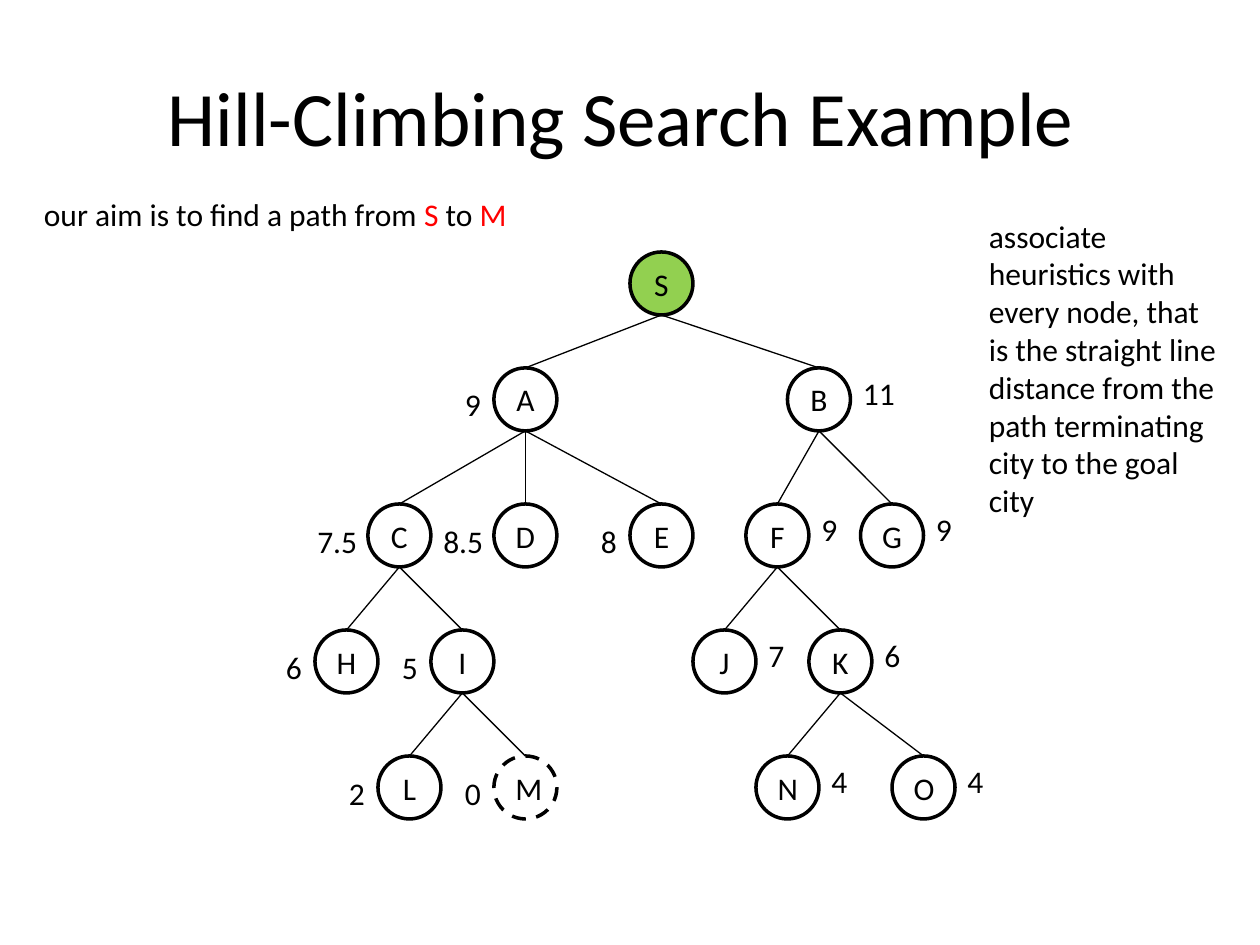
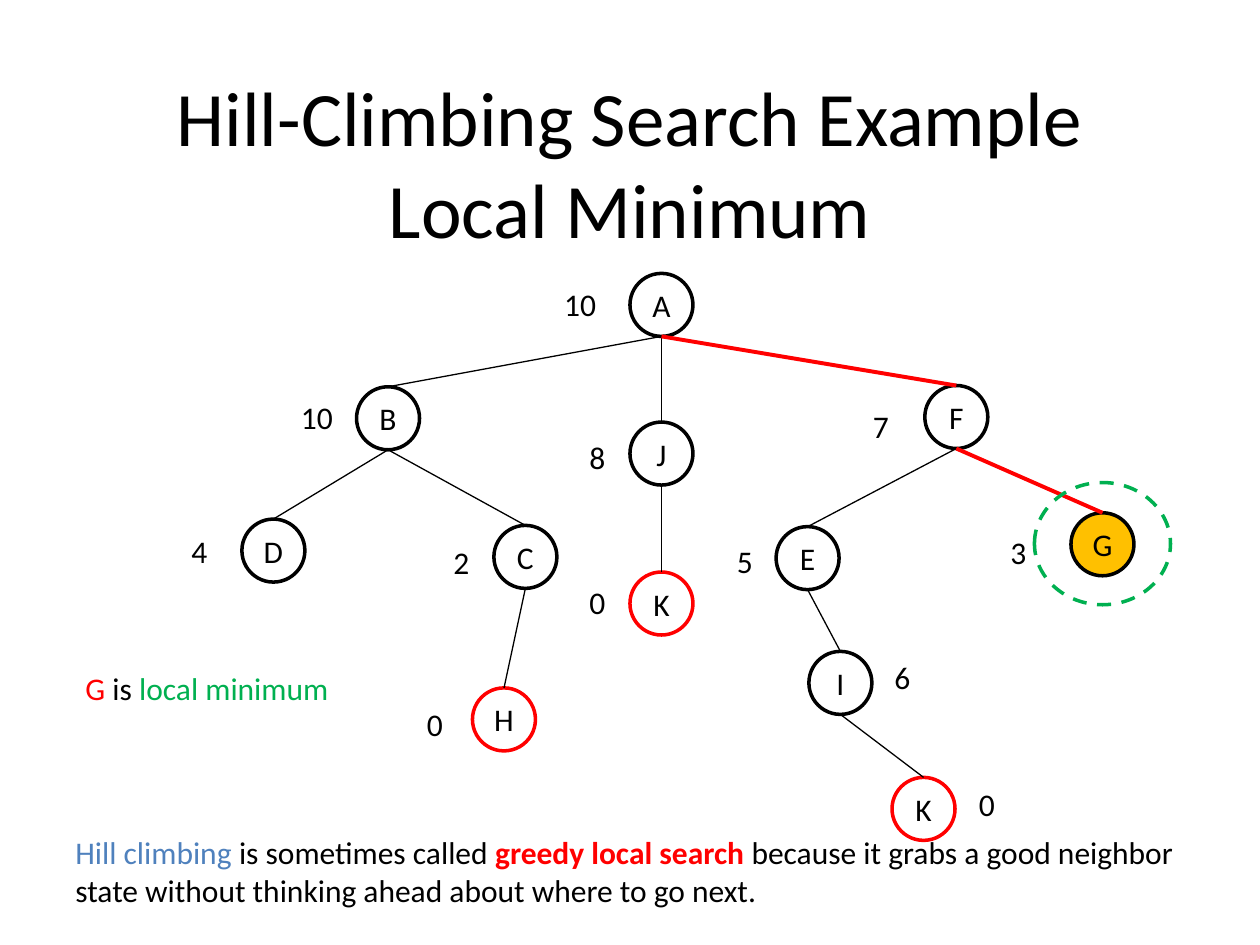
from lxml.etree import SubElement
from pptx import Presentation
from pptx.dml.color import RGBColor
from pptx.enum.dml import MSO_LINE
from pptx.enum.shapes import MSO_CONNECTOR, MSO_SHAPE
from pptx.enum.text import MSO_ANCHOR, MSO_AUTO_SIZE, PP_ALIGN
from pptx.oxml.ns import qn
from pptx.util import Inches, Pt

BLACK = RGBColor(0x00, 0x00, 0x00)
RED = RGBColor(0xFF, 0x00, 0x00)
GREEN = RGBColor(0x00, 0xB0, 0x50)
BLUE = RGBColor(0x4F, 0x81, 0xBD)
START_GREEN = RGBColor(0x92, 0xD0, 0x50)
MINIMUM_GOLD = RGBColor(0xFF, 0xC0, 0x00)

FONT = "Calibri"
NODE = 0.5
LEFT, WIDE_LEFT, RIGHT = (-0.33, 0.09), (-0.5, 0.09), (0.5, 0)

SEARCH = {
    "title": ["Hill-Climbing Search Example "],
    "nodes": {
        "S": (5, 2, "", None),
        "A": (3.92, 2.92, "9", LEFT),
        "B": (6.25, 2.92, "11", RIGHT),
        "C": (2.92, 4, "7.5", WIDE_LEFT),
        "D": (3.92, 4, "8.5", WIDE_LEFT),
        "E": (5, 4, "8", LEFT),
        "F": (5.92, 4, "9", RIGHT),
        "G": (6.83, 4, "9", RIGHT),
        "H": (2.5, 5, "6", LEFT),
        "I": (3.42, 5, "5", LEFT),
        "J": (5.5, 5, "7", RIGHT),
        "K": (6.42, 5, "6", RIGHT),
        "L": (3, 6, "2", LEFT),
        "M": (3.92, 6, "0", LEFT),
        "N": (6, 6, "4", RIGHT),
        "O": (7.08, 6, "4", RIGHT),
    },
    "edges": ["SA", "SB", "AC", "AD", "AE", "BF", "BG", "CH", "CI",
              "FJ", "FK", "IL", "IM", "KN", "KO"],
    "fills": {"S": START_GREEN},
    "dashed": "M",
    "goals": [],
    "climb": [],
    "rings": [],
    "notes": [
        ((0.25, 1.5, 3.92, 0.4), False,
         [[("our aim is to find a path from ", BLACK), ("S", RED),
           (" to ", BLACK), ("M", RED)]]),
        ((7.75, 1.67, 2, 2.52), True,
         [[("associate heuristics with every node, that is the straight line "
            "distance from the path terminating city to the goal city", BLACK)]]),
    ],
}

LOCAL_MINIMUM = {
    "title": ["Hill-Climbing Search Example", "Local Minimum"],
    "nodes": {
        "A": (5, 2.17, "10", (-0.62, 0.04)),
        "B": (2.83, 3.07, "10", (-0.54, 0.04)),
        "F": (7.34, 3.06, "7", (-0.51, 0.12)),
        "J": (5, 3.35, "8", (-0.42, 0.08)),
        "D": (1.92, 4.12, "4", (-0.5, 0.05)),
        "C": (3.92, 4.17, "2", (-0.42, 0.09)),
        "E": (6.16, 4.18, "5", (-0.41, 0.07)),
        "G": (8.5, 4.07, "3", (-0.58, 0.11)),
        "K": (5, 4.54, "0", (-0.42, 0.04)),
        "H": (3.75, 5.46, "0", (-0.46, 0.09)),
        "I": (6.42, 5.17, "6", (0.58, 0)),
        "K2": (7.08, 6.17, "0", (0.59, 0.01)),
    },
    "edges": ["AB", "AJ", "AF", "BD", "BC", "FE", "FG", "JK", "CH", "EI", "IK2"],
    "fills": {"G": MINIMUM_GOLD},
    "dashed": "",
    "goals": ["H", "K", "K2"],
    "climb": ["AF", "FG"],
    "rings": [(8.21, 3.83, 1.08, 0.97)],
    "notes": [
        ((0.58, 5.26, 2.15, 0.4), False,
         [[("G", RED), (" is ", BLACK), ("local minimum", GREEN)]]),
        ((0.5, 6.56, 9, 0.71), True,
         [[("Hill climbing ", BLUE), ("is sometimes called ", BLACK),
           ("greedy local search ", RED, True),
           ("because it grabs a good neighbor", BLACK)],
          [("state without thinking ahead about where to go next.", BLACK)]]),
    ],
}


def set_font(font, size=18, color=BLACK):
    font.name = FONT
    font.size = Pt(size)
    font.color.rgb = color


def add_title(slide, lines):
    title = slide.shapes.title
    title.left, title.top, title.width, title.height = map(Inches, (0.5, 0.5, 9, 1.05))
    frame = title.text_frame
    frame.text = "\n".join(lines)
    frame.auto_size = MSO_AUTO_SIZE.NONE
    frame.vertical_anchor = MSO_ANCHOR.TOP
    for paragraph in frame.paragraphs:
        paragraph.alignment = PP_ALIGN.CENTER
        set_font(paragraph.font, 44)


def add_circle(slide, box, line_color, fill=None, dashed=False):
    circle = slide.shapes.add_shape(MSO_SHAPE.OVAL, *map(Inches, box))
    circle.shadow.inherit = False
    if fill is None:
        circle.fill.background()
    else:
        circle.fill.solid()
        circle.fill.fore_color.rgb = fill
    circle.line.color.rgb = line_color
    circle.line.width = Pt(2)
    if dashed:
        circle.line.dash_style = MSO_LINE.DASH
    return circle


def add_note(slide, box, wrap, lines):
    frame = slide.shapes.add_textbox(*map(Inches, box)).text_frame
    frame.word_wrap = wrap
    frame.auto_size = MSO_AUTO_SIZE.SHAPE_TO_FIT_TEXT
    for index, pieces in enumerate(lines):
        paragraph = frame.add_paragraph() if index else frame.paragraphs[0]
        set_font(paragraph.font)
        for text, color, *bold in pieces:
            run = paragraph.add_run()
            run.text = text
            set_font(run.font, color=color)
            if bold:
                run.font.bold = True


def add_edge(slide, parent, child, on_climb):
    ends = (parent[0] + NODE / 2, parent[1] + NODE, child[0] + NODE / 2, child[1])
    edge = slide.shapes.add_connector(MSO_CONNECTOR.STRAIGHT, *map(Inches, ends))
    edge.line.color.rgb = RED if on_climb else BLACK
    edge.line.width = Pt(2.25 if on_climb else 0.75)
    SubElement(edge._element.spPr, qn("a:effectLst"))


def add_node(slide, tree, key):
    left, top, score, offset = tree["nodes"][key]
    circle = add_circle(slide, (left, top, NODE, NODE),
                        RED if key in tree["goals"] else BLACK,
                        tree["fills"].get(key), key == tree["dashed"])
    circle.text_frame.text = key[0]
    circle.text_frame.vertical_anchor = MSO_ANCHOR.MIDDLE
    paragraph = circle.text_frame.paragraphs[0]
    paragraph.alignment = PP_ALIGN.CENTER
    set_font(paragraph.font)
    if score:
        box = (left + offset[0], top + offset[1], 0.21 + 0.125 * len(score), 0.4)
        add_note(slide, box, True, [[(score, BLACK)]])


def add_tree_slide(deck, tree):
    slide = deck.slides.add_slide(deck.slide_layouts[5])
    add_title(slide, tree["title"])
    for key in tree["nodes"]:
        add_node(slide, tree, key)
    for edge in tree["edges"]:
        parent, child = tree["nodes"][edge[0]], tree["nodes"][edge[1:]]
        add_edge(slide, parent, child, edge in tree["climb"])
    for ring in tree["rings"]:
        add_circle(slide, ring, GREEN, dashed=True)
    for note in tree["notes"]:
        add_note(slide, *note)


def main():
    deck = Presentation()
    deck.slide_width, deck.slide_height = Inches(10), Inches(7.5)
    for tree in (SEARCH, LOCAL_MINIMUM):
        add_tree_slide(deck, tree)
    deck.save("out.pptx")


if __name__ == "__main__":
    main()
